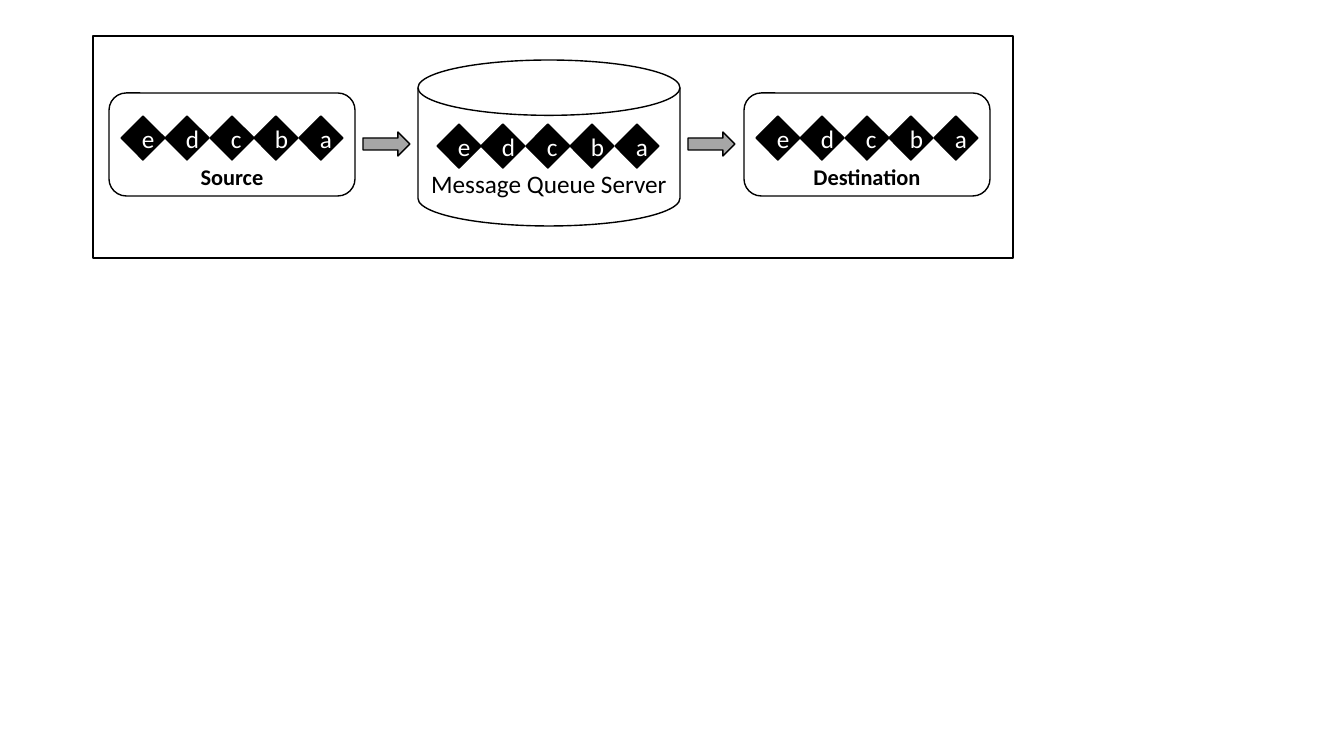
from dataclasses import dataclass

from pptx import Presentation
from pptx.dml.color import RGBColor
from pptx.enum.shapes import MSO_SHAPE as Shape
from pptx.enum.text import MSO_ANCHOR as Anchor, PP_ALIGN as Align
from pptx.util import Pt

EMU_PER_PIXEL = 914400 / 100.8


def px(pixels):
    return round(pixels * EMU_PER_PIXEL)


@dataclass(frozen=True)
class Theme:
    font: str = "Calibri"
    ink: RGBColor = RGBColor(0, 0, 0)
    paper: RGBColor = RGBColor(255, 255, 255)
    arrow: RGBColor = RGBColor(0xA6, 0xA6, 0xA6)
    outline: int = 1
    label_size: int = 16
    body_size: int = 18


class Diagram:
    def __init__(self, slide, theme):
        self.slide = slide
        self.theme = theme

    def outline(self, kind, left, top, width, height, fill=None):
        shape = self.slide.shapes.add_shape(
            kind, px(left), px(top), px(width), px(height))
        shape.shadow.inherit = False
        if fill is None:
            shape.fill.background()
        else:
            shape.fill.solid()
            shape.fill.fore_color.rgb = fill
        shape.line.color.rgb = self.theme.ink
        shape.line.width = Pt(self.theme.outline)
        return shape

    def caption(self, shape, text, size, color, bold=False):
        paragraph = shape.text_frame.paragraphs[0]
        paragraph.alignment = Align.CENTER
        run = paragraph.add_run()
        run.text = text
        run.font.name = self.theme.font
        run.font.size = Pt(size)
        run.font.bold = bold
        run.font.color.rgb = color

    def messages(self, left, top, names="edcba", row_width=223, side=44):
        for index, name in enumerate(names):
            offset = index * row_width // len(names)
            message = self.outline(
                Shape.DIAMOND, left + offset, top, side, side, self.theme.ink)
            self.caption(message, name, self.theme.body_size, self.theme.paper)

    def container(self, kind, box, label, size, bottom_inset, bold=False):
        holder = self.outline(kind, *box)
        holder.text_frame.vertical_anchor = Anchor.BOTTOM
        holder.text_frame.margin_bottom = px(bottom_inset)
        self.caption(holder, label, size, self.theme.ink, bold)

    def endpoint(self, label, left, top=93):
        self.messages(left + 12, top + 23)
        self.container(Shape.ROUNDED_RECTANGLE, (left, top, 246, 103), label,
                       self.theme.label_size, 1, bold=True)

    def server(self, label, left, top):
        self.container(Shape.FLOWCHART_MAGNETIC_DISK, (left, top, 262, 166),
                       label, self.theme.body_size, 0)
        self.messages(left + 19, top + 64)

    def arrow(self, left, top=132):
        self.outline(Shape.RIGHT_ARROW, left, top, 47, 24, self.theme.arrow)


presentation = Presentation()
presentation.slide_width = px(1344)
presentation.slide_height = px(756)
blank = presentation.slide_layouts[6]
diagram = Diagram(presentation.slides.add_slide(blank), Theme())

for role, role_left in (("Source", 109), ("Destination", 744)):
    diagram.endpoint(role, role_left)
diagram.server("Message Queue Server", 418, 60)
for arrow_left in (363, 688):
    diagram.arrow(arrow_left)
diagram.outline(Shape.RECTANGLE, 93, 36, 920, 222)

presentation.save("out.pptx")
